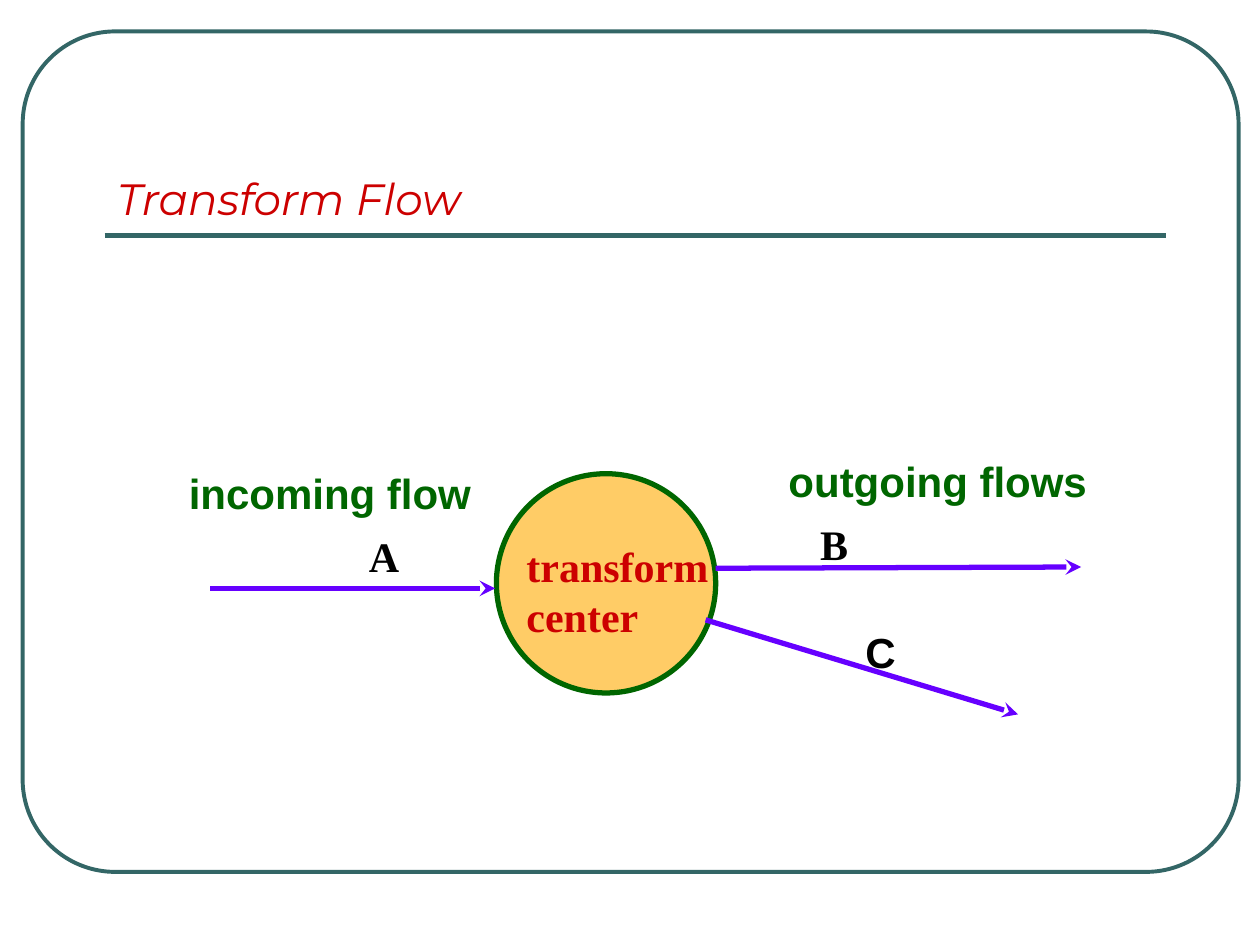
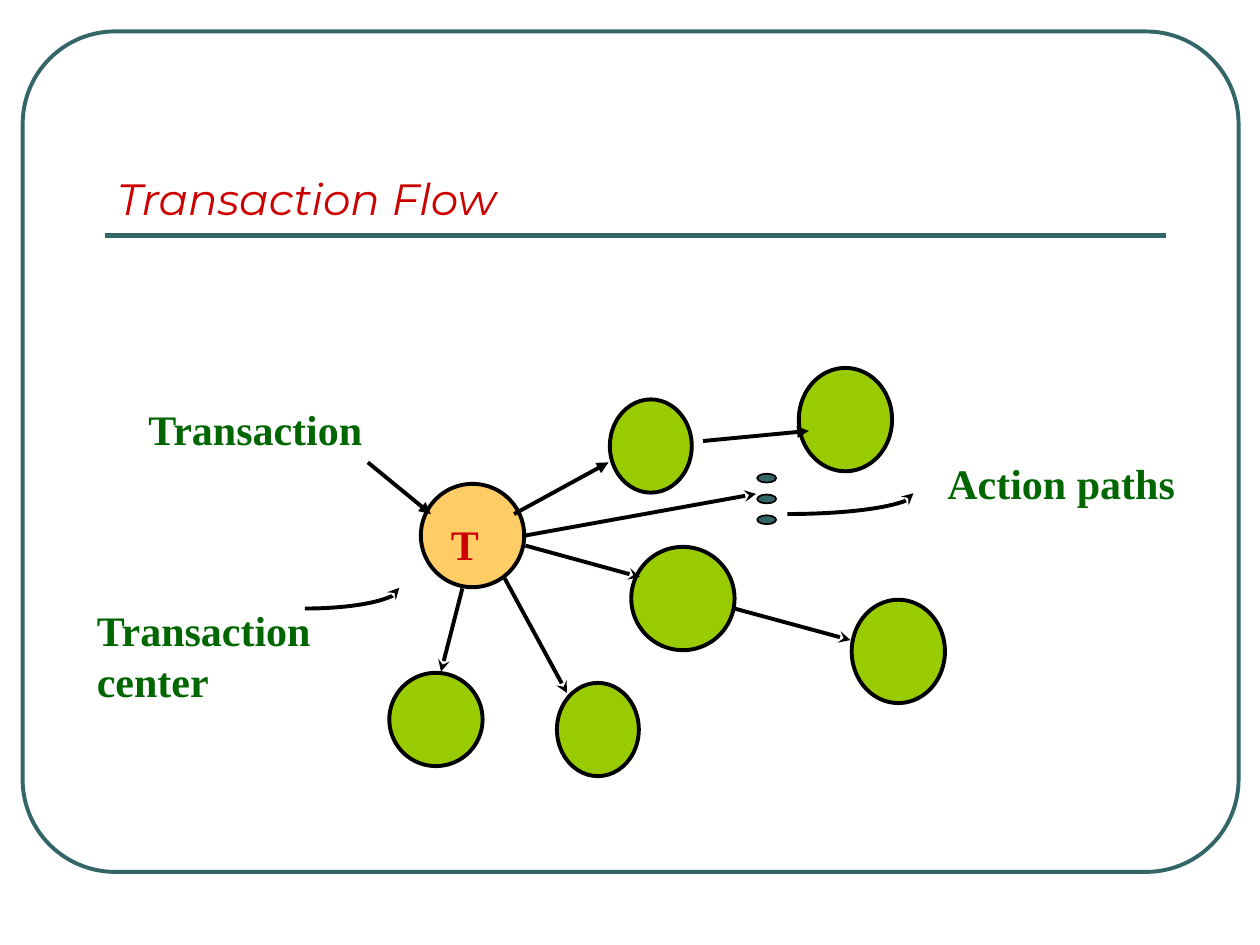
from dataclasses import dataclass

from lxml.etree import SubElement
from pptx import Presentation
from pptx.dml.color import RGBColor
from pptx.enum.shapes import MSO_CONNECTOR, MSO_SHAPE
from pptx.enum.text import MSO_ANCHOR, MSO_AUTO_SIZE, PP_ALIGN
from pptx.oxml.ns import qn
from pptx.slide import Slide
from pptx.util import Inches, Pt

TEAL, RED, GREEN, LIME = "336666", "CC0000", "006600", "99CC00"
ORANGE, VIOLET, BLACK = "FFCC66", "6600FF", "000000"
SERIF, SANS, TITLE_FONT = "Times New Roman", "Arial", "Montserrat"
TITLE_ONLY = 5


def rgb(hex_code):
    return RGBColor.from_string(hex_code)


def format_runs(text_frame, font_name, size, color, bold=False, italic=False):
    for paragraph in text_frame.paragraphs:
        paragraph.alignment = PP_ALIGN.LEFT
        for run in paragraph.runs:
            run.font.name = font_name
            run.font.size = Pt(size)
            run.font.bold = bold
            run.font.italic = italic
            run.font.color.rgb = rgb(color)


def add_arrowhead(line_shape, end, style):
    outline = line_shape.element.spPr.find(qn("a:ln"))
    SubElement(outline, qn(f"a:{end}"), type=style)


@dataclass
class Region:
    slide: Slide
    left: float
    top: float

    def place(self, x, y):
        return Inches(self.left + x), Inches(self.top + y)

    def outline(self, preset, x, y, width, height, line, weight, fill=None):
        shape = self.slide.shapes.add_shape(
            preset, *self.place(x, y), Inches(width), Inches(height))
        shape.shadow.inherit = False
        if fill:
            shape.fill.solid()
            shape.fill.fore_color.rgb = rgb(fill)
        else:
            shape.fill.background()
        shape.line.color.rgb = rgb(line)
        shape.line.width = Pt(weight)
        return shape

    def ellipse(self, x, y, width, height, fill, line=BLACK, weight=2.25):
        return self.outline(MSO_SHAPE.OVAL, x, y, width, height, line, weight, fill)

    def line(self, start, end, color=BLACK, weight=2.25, head=None):
        connector = self.slide.shapes.add_connector(
            MSO_CONNECTOR.STRAIGHT, *self.place(*start), *self.place(*end))
        connector.line.color.rgb = rgb(color)
        connector.line.width = Pt(weight)
        SubElement(connector.element.spPr, qn("a:effectLst"))
        if head:
            add_arrowhead(connector, "tailEnd", head)
        return connector

    def curved_pointer(self, x, y, width, height):
        arc = self.outline(MSO_SHAPE.ARC, x, y, width, height, BLACK, 2.25)
        arc.adjustments[0] = 0
        arc.adjustments[1] = 54
        add_arrowhead(arc, "headEnd", "stealth")

    def label(self, text, x, y, width, height=0.5, color=GREEN, font_name=SERIF,
              wrap=False):
        text_frame = self.slide.shapes.add_textbox(
            *self.place(x, y), Inches(width), Inches(height)).text_frame
        text_frame.text = text
        text_frame.word_wrap = wrap
        text_frame.auto_size = MSO_AUTO_SIZE.SHAPE_TO_FIT_TEXT
        format_runs(text_frame, font_name, 24, color, bold=True)


def add_titled_slide(deck, title_text):
    slide = deck.slides.add_slide(deck.slide_layouts[TITLE_ONLY])
    title = slide.shapes.title
    title.left, title.top = Inches(0.83), Inches(0.58)
    title.width, title.height = Inches(8.42), Inches(1.25)
    text_frame = title.text_frame
    text_frame.text = title_text
    text_frame.auto_size = MSO_AUTO_SIZE.NONE
    text_frame.vertical_anchor = MSO_ANCHOR.BOTTOM
    format_runs(text_frame, TITLE_FONT, 25, RED, italic=True)
    return slide


def move_frame_to_layout(slide):
    region = Region(slide, 0.18, 0.25)
    border = region.outline(MSO_SHAPE.ROUNDED_RECTANGLE, 0, 0, 9.65, 6.67, TEAL, 2.25)
    border.adjustments[0] = 0.11
    title_rule = region.line((0.65, 1.62), (9.07, 1.62), TEAL, 3)
    for part in (border, title_rule):
        slide.slide_layout.shapes.element.append(part.element)


def draw_transform_flow(region):
    region.ellipse(2.54, 0.26, 1.74, 1.74, ORANGE, GREEN, 3)
    flows = [
        ((0.27, 1.17), (2.53, 1.17)),
        ((4.28, 1.01), (7.18, 1)),
        ((4.2, 1.42), (6.68, 2.17)),
    ]
    for start, end in flows:
        region.line(start, end, VIOLET, 3, "stealth")
    region.label("A", 1.43, 0.66, 0.44, color=BLACK)
    region.label("B", 5.01, 0.57, 0.42, color=BLACK)
    region.label("C", 5.37, 1.42, 0.58, color=BLACK, font_name=SANS, wrap=True)
    region.label("transform\ncenter", 2.68, 0.74, 1.65, 0.9, RED)
    region.label("incoming flow", 0, 0.16, 2.44, font_name=SANS)
    region.label("outgoing flows", 4.76, 0.07, 2.57, font_name=SANS)


def draw_transaction_flow(region):
    region.ellipse(2.67, 0.92, 0.82, 0.82, ORANGE)
    actions = [
        (4.17, 0.25, 0.65, 0.74),
        (2.42, 2.42, 0.74, 0.74),
        (4.34, 1.42, 0.82, 0.82),
        (3.75, 2.5, 0.65, 0.74),
        (6.09, 1.84, 0.74, 0.82),
        (5.67, 0, 0.74, 0.82),
    ]
    for action in actions:
        region.ellipse(*action, LIME)
    region.label("T", 2.81, 1.15, 0.42, color=RED)

    flows = {
        "triangle": [
            ((2.25, 0.75), (2.75, 1.16)),
            ((3.41, 1.16), (4.16, 0.75)),
            ((4.91, 0.58), (5.75, 0.5)),
        ],
        "stealth": [
            ((3, 1.75), (2.83, 2.41)),
            ((3.33, 1.66), (3.83, 2.58)),
            ((3.5, 1.41), (4.41, 1.66)),
            ((5.16, 1.91), (6.08, 2.16)),
            ((3.5, 1.33), (5.33, 1)),
        ],
    }
    for head, routes in flows.items():
        for start, end in routes:
            region.line(start, end, head=head)

    for index in range(3):
        region.ellipse(5.34, 0.84 + index * 0.33 / 2, 0.15, 0.07, TEAL, weight=1)
    region.curved_pointer(1, 1.58, 1.5, 0.33)
    region.curved_pointer(4.58, 0.83, 2, 0.33)
    region.label("Transaction\ncenter", 0, 1.83, 1.92, 0.9)
    region.label("Transaction", 0.41, 0.23, 2.01, wrap=True)
    region.label("Action paths", 6.75, 0.66, 2.25, wrap=True)


def main():
    deck = Presentation()
    deck.slide_width, deck.slide_height = Inches(10), Inches(7.5)
    transform = add_titled_slide(deck, "Transform Flow")
    move_frame_to_layout(transform)
    draw_transform_flow(Region(transform, 1.4, 3.5))
    transaction = add_titled_slide(deck, "Transaction Flow")
    draw_transaction_flow(Region(transaction, 0.67, 2.92))
    deck.save("out.pptx")


if __name__ == "__main__":
    main()
